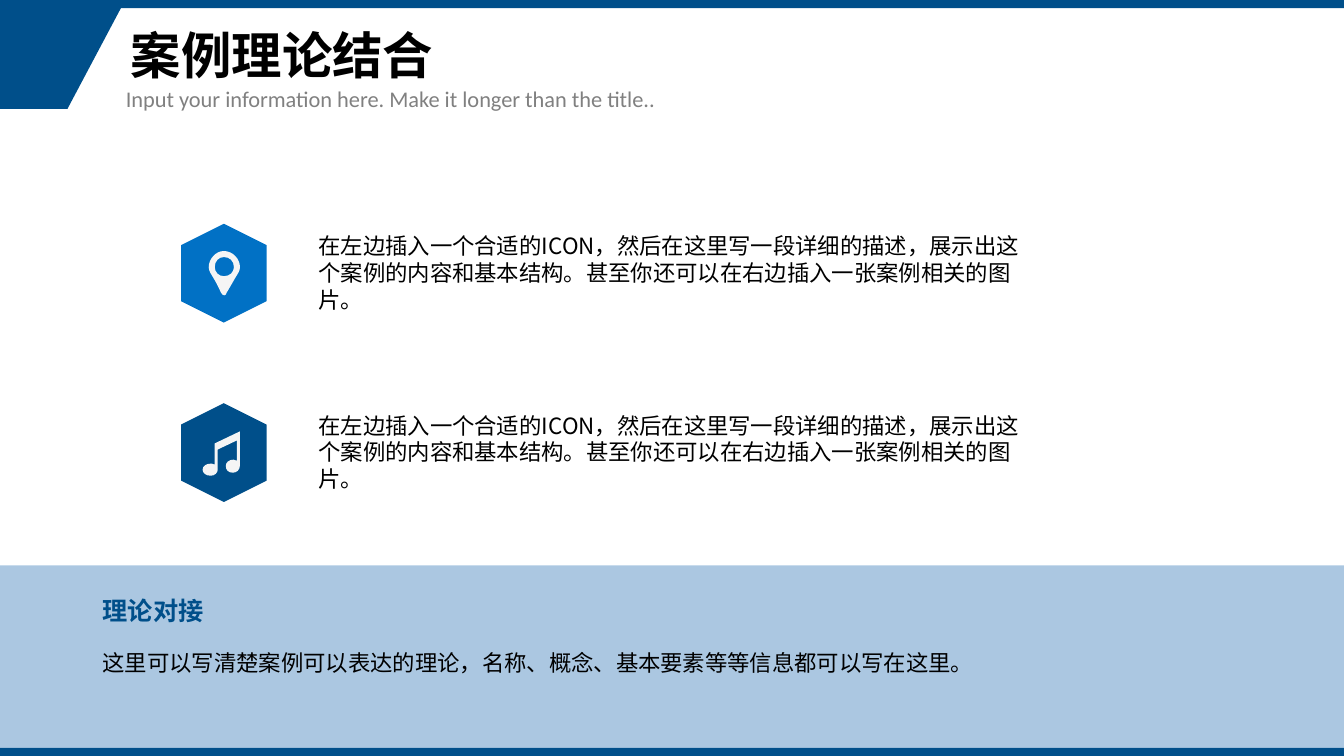
"""Build a case-and-theory slide with two icon rows and a theory band."""
import pptx
import pptx.dml.color
import pptx.enum.shapes
import pptx.enum.text
import pptx.oxml
import pptx.oxml.ns
import pptx.util

CJK = "Noto Sans CJK SC"
NAVY, BLUE, PALE = "004F8A", "0171C5", "F5F5F5"
NS = pptx.oxml.ns.nsdecls("a")
qn = pptx.oxml.ns.qn
SHAPE = pptx.enum.shapes.MSO_SHAPE
ANCHOR = pptx.enum.text.MSO_ANCHOR
inch = pptx.util.Inches

W, H = 13.33, 7.5
prs = pptx.Presentation()
prs.slide_width, prs.slide_height = inch(W), inch(H)
s = prs.slides.add_slide(prs.slide_layouts[6])


def paint(sp, color):
    """Give a shape a plain fill without line or shadow."""
    sp.shadow.inherit = False
    sp.fill.solid()
    sp.fill.fore_color.rgb = pptx.dml.color.RGBColor.from_string(color)
    sp.line.fill.background()


def write(text, x, y, w, h, size=16, color="000000", font=CJK, bold=False,
          wrap=True, anchor=ANCHOR.TOP, leading=1.2):
    """Add a one-paragraph text box."""
    tf = s.shapes.add_textbox(inch(x), inch(y), inch(w), inch(h)).text_frame
    tf.word_wrap, tf.vertical_anchor = wrap, anchor
    p = tf.paragraphs[0]
    p.text = text
    p.line_spacing = pptx.util.Pt(size * leading)
    r = p.runs[0]
    r.font.size, r.font.bold, r.font.name = pptx.util.Pt(size), bold, font
    r.font.color.rgb = pptx.dml.color.RGBColor.from_string(color)
    r.font._element.append(pptx.oxml.parse_xml(f'<a:ea {NS} typeface="{CJK}"/>'))


bar = 0.08
for top in (0, H - bar):
    sp = s.shapes.add_shape(SHAPE.RECTANGLE, 0, inch(top), inch(W), inch(bar))
    paint(sp, NAVY)
corner = s.shapes.build_freeform(0, inch(bar), scale=1)
corner.add_line_segments([(inch(x), inch(y)) for x, y in
                          ((1.2, bar), (0.67, 1 + bar), (0, 1 + bar))])
paint(corner.convert_to_shape(), NAVY)

write("案例理论结合", 1.2, bar, 11.22, 1, size=36, bold=True,
      anchor=ANCHOR.MIDDLE, leading=1.02)
write("Input your information here. Make it longer than the title..",
      1.15, 0.8, 7.8, 0.37, color="808080", font="Calibri")

pin = [
    [(0, -22), (-8, -22, -15, -14, -15, -6), (-15, -2, -13, 0, -9, 7),
     (-5, 14, -3, 19, -3, 19), (-1, 23, 2, 23, 3, 19), (3, 19, 6, 14, 10, 7),
     (14, 0, 16, -2, 16, -6), (16, -14, 9, -22, 0, -22)],
    [(0, 3), (-5, 3, -9, -1, -9, -6), (-9, -12, -5, -16, 0, -16),
     (6, -16, 10, -12, 10, -6), (10, -1, 6, 3, 0, 3)],
]
note = [
    [(-9, 12), (-12, 11, -11, 11, -13, 11), (-17, 11, -21, 13, -21, 17),
     (-21, 20, -18, 23, -13, 23), (-9, 23, -6, 20, -6, 17), (-6, -3),
     (13, -12), (13, 8), (10, 8, 11, 7, 10, 7), (5, 7, 2, 10, 2, 13),
     (2, 17, 4, 20, 9, 20), (13, 20, 16, 17, 16, 13), (16, -21), (-9, -9)],
]
description = ("在左边插入一个合适的ICON，然后在这里写一段详细的描述，"
               "展示出这个案例的内容和基本结构。甚至你还可以在右边插入一张案例相关的图片。")
icon_x, first_y, pitch = 2.22, 2.71, 1.78
hex_w, hex_h, text_h = 0.98, 0.85, 0.91

for row, (icon, color) in enumerate(((pin, BLUE), (note, NAVY))):
    y = first_y + row * pitch
    sp = s.shapes.add_shape(SHAPE.HEXAGON, inch(icon_x - hex_w / 2),
                            inch(y - hex_h / 2), inch(hex_w), inch(hex_h))
    sp.rotation = 90
    paint(sp, color)

    outline = None
    for contour in icon:
        spots = [(inch(icon_x + seg[-2] / 100), inch(y + seg[-1] / 100)) for seg in contour]
        if outline is None:
            outline = s.shapes.build_freeform(*spots[0], scale=1)
        else:
            outline.move_to(*spots[0])
        outline.add_line_segments(spots[1:])
    sp = outline.convert_to_shape()
    paint(sp, PALE)
    segments = [seg for contour in icon for seg in contour[1:]]
    for line, seg in zip(list(sp._element.iter(qn("a:lnTo"))), segments):
        if len(seg) == 6:
            pts = "".join(f'<a:pt x="{inch(icon_x + px / 100) - sp.left}" '
                          f'y="{inch(y + py / 100) - sp.top}"/>'
                          for px, py in zip(seg[::2], seg[1::2]))
            curve = pptx.oxml.parse_xml(f"<a:cubicBezTo {NS}>{pts}</a:cubicBezTo>")
            line.getparent().replace(line, curve)
    write(description, 3.06, y - text_h / 2, 7.21, text_h)

band_h = 1.81
band = s.shapes.add_shape(SHAPE.RECTANGLE, 0, inch(H - bar - band_h), inch(W), inch(band_h))
paint(band, "2E75B6")
fill = band._element.spPr.find(qn("a:solidFill"))
fill[0].append(pptx.oxml.parse_xml(f'<a:alpha {NS} val="40000"/>'))
write("这里可以写清楚案例可以表达的理论，名称、概念、基本要素等等信息都可以写在这里。",
      0.92, 6.39, 11.5, 0.37)
write("理论对接", 0.92, 5.86, 1.21, 0.4, size=18, color=NAVY, bold=True, wrap=False)

prs.save("out.pptx")
